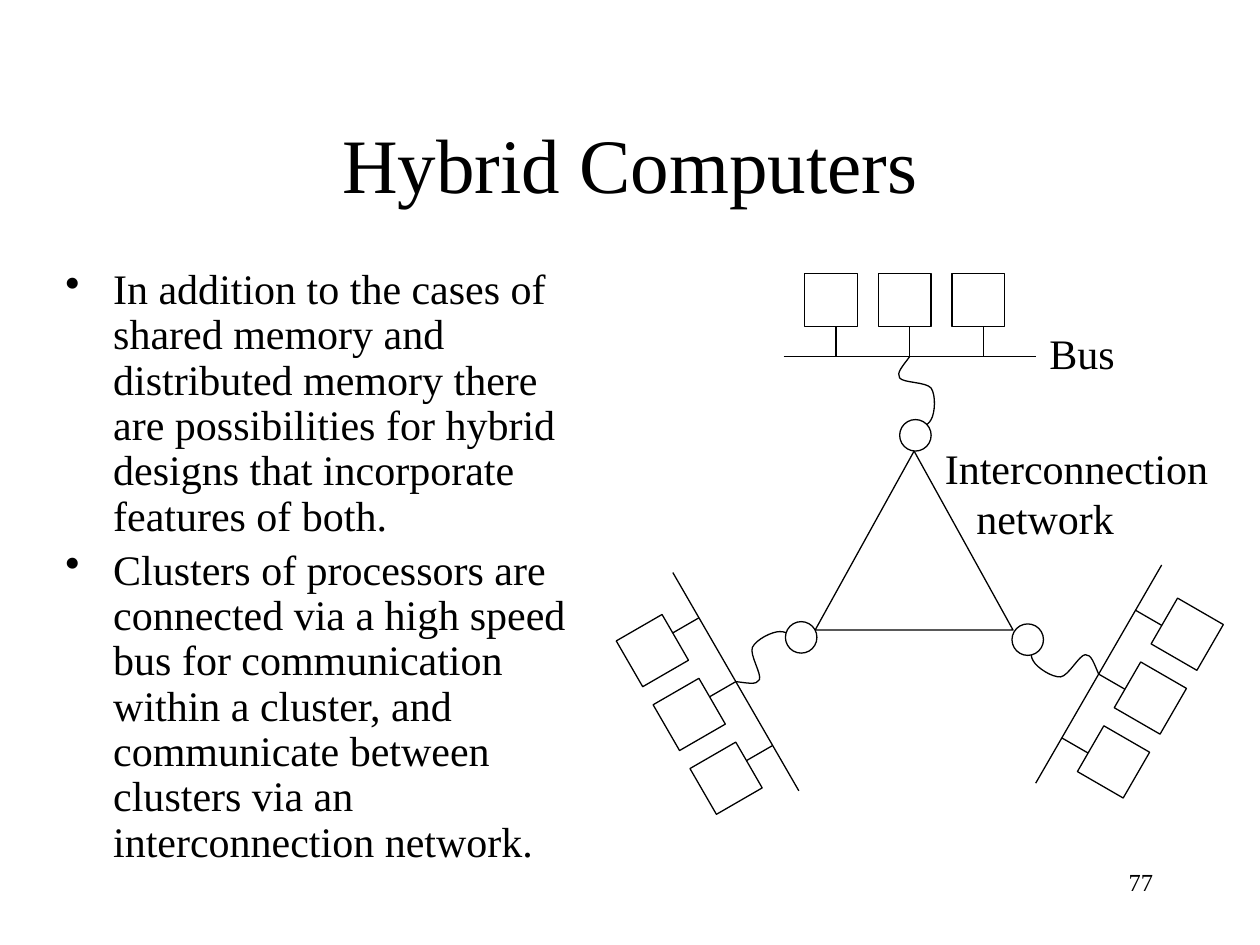
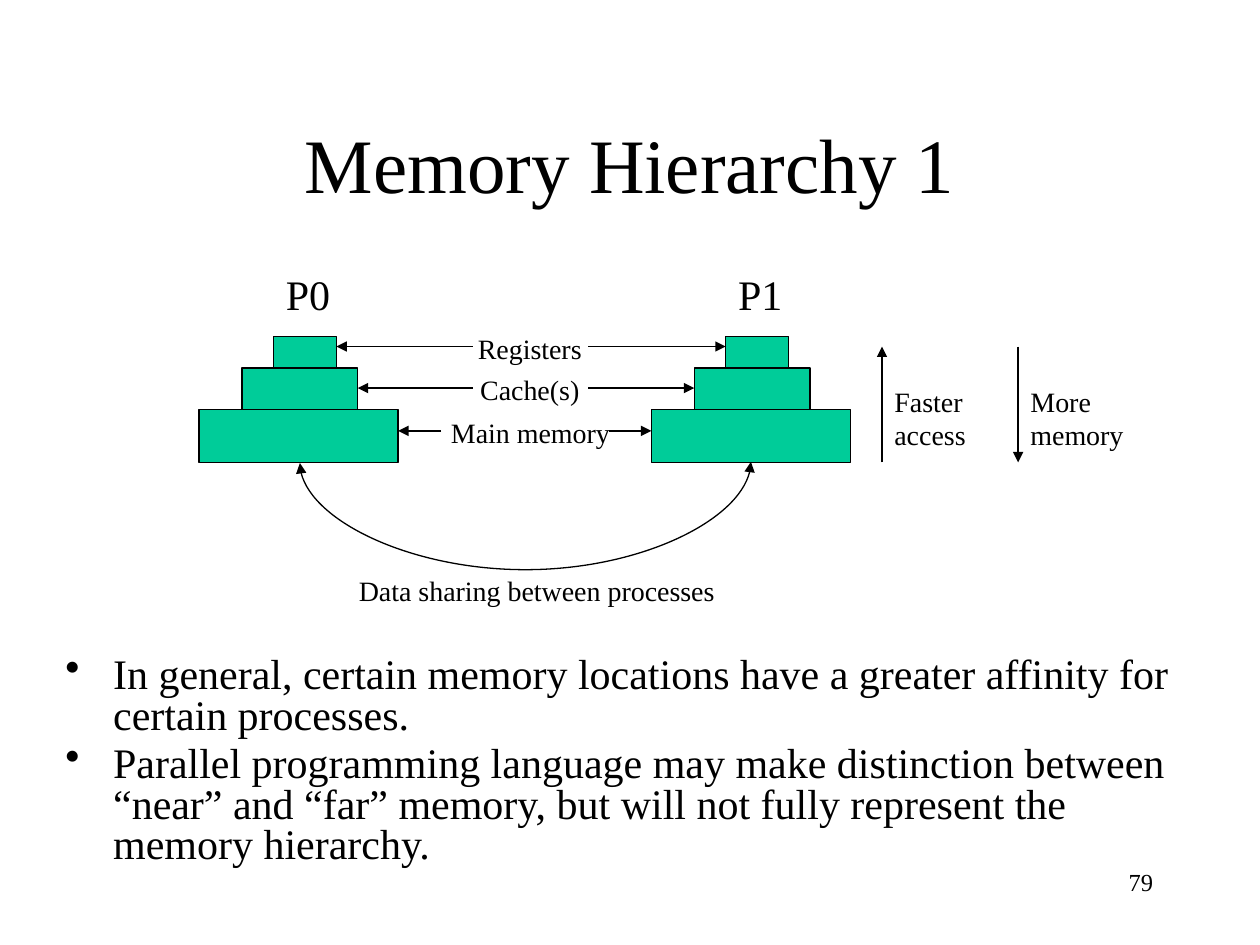
from dataclasses import dataclass
from math import cos, radians, sin

from lxml.etree import SubElement
from pptx import Presentation
from pptx.dml.color import RGBColor
from pptx.enum.shapes import MSO_CONNECTOR, MSO_SHAPE
from pptx.enum.text import MSO_ANCHOR, MSO_AUTO_SIZE, PP_ALIGN
from pptx.oxml.ns import qn
from pptx.util import Inches, Pt


@dataclass(frozen=True)
class Theme:
    """Colours, type sizes and line width shared by the slides."""
    font: str = "Times New Roman"
    ink: RGBColor = RGBColor(0, 0, 0)
    paper: RGBColor = RGBColor(255, 255, 255)
    memory: RGBColor = RGBColor(0x00, 0xCC, 0x99)
    title: int = 44
    body: int = 24
    label: int = 16
    page_number: int = 14
    line_width: float = 0.75


@dataclass(frozen=True)
class Tier:
    """One level of the memory towers with its label and arrows."""
    name: str
    left: float
    width: float
    top: float
    height: float
    arrow_top: float
    label_left: float
    label_width: float
    gap: tuple


THEME = Theme()
TIERS = (
    Tier("Registers", 0.59, 0.5, 0.59, 0.25, 0.67, 2, 1.25, (2.17, 3.09)),
    Tier("Cache(s)", 0.34, 0.92, 0.84, 0.33, 1, 2, 1.25, (2.17, 3.09)),
    Tier("Main memory", 0, 1.58, 1.17, 0.42, 1.34, 1.84, 1.58, (1.92, 3.25)),
)
CLUSTERS = ((2.32, 0.66, 0), (3.82, 3.18, 120), (0.94, 3.24, 240))
CABLE_CURVE = (
    (-0.05, 0.07), (-0.11, 0.13), (-0.08, 0.17),
    (-0.05, 0.21), (0.13, 0.2), (0.17, 0.25),
    (0.21, 0.31), (0.2, 0.45), (0.17, 0.5),
    (0.14, 0.56), (0.07, 0.57), (0, 0.59),
)


def style_paragraph(paragraph, size, align=PP_ALIGN.LEFT):
    """Set the alignment and the theme font of a paragraph."""
    paragraph.alignment = align
    paragraph.font.name = THEME.font
    paragraph.font.size = Pt(size)
    paragraph.font.color.rgb = THEME.ink


def add_text(slide, lines, box, size, align=PP_ALIGN.LEFT, wrap=True):
    """Add a text box with one paragraph for each line."""
    shape = slide.shapes.add_textbox(*map(Inches, box))
    frame = shape.text_frame
    frame.word_wrap = wrap
    if not wrap:
        frame.auto_size = MSO_AUTO_SIZE.SHAPE_TO_FIT_TEXT
    frame.text = "\n".join(lines)
    for paragraph in frame.paragraphs:
        style_paragraph(paragraph, size, align)
    return frame


def add_bullets(slide, items, box, line_spacing):
    """Add a bulleted body text."""
    frame = add_text(slide, items, box, THEME.body)
    for index, paragraph in enumerate(frame.paragraphs):
        properties = paragraph._p.get_or_add_pPr()
        properties.set("marL", str(Inches(0.38)))
        properties.set("indent", str(Inches(-0.38)))
        bullet = properties.makeelement(qn("a:buChar"), {"char": "•"})
        properties.insert_element_before(bullet, "a:tabLst", "a:defRPr", "a:extLst")
        paragraph.line_spacing = line_spacing
        if index:
            paragraph.space_before = Pt(0.2 * THEME.body)


def outline(shape):
    """Give a shape or connector the theme line."""
    shape.line.color.rgb = THEME.ink
    shape.line.width = Pt(THEME.line_width)


def add_shape(slide, kind, box, fill):
    """Add a filled, outlined preset shape."""
    shape = slide.shapes.add_shape(kind, *map(Inches, box))
    shape.shadow.inherit = False
    shape.fill.solid()
    shape.fill.fore_color.rgb = fill
    outline(shape)
    return shape


def add_line(slide, start, end, arrows=(), kind=MSO_CONNECTOR.STRAIGHT):
    """Add a connector with triangles at the named ends."""
    connector = slide.shapes.add_connector(kind, *map(Inches, (*start, *end)))
    outline(connector)
    properties = connector._element.spPr
    for arrow in arrows:
        SubElement(properties.find(qn("a:ln")), qn(f"a:{arrow}"), type="triangle")
    SubElement(properties, qn("a:effectLst"))
    return connector


def add_curve(slide, start, points):
    """Add an open outline of cubic curves, three points to each."""
    builder = slide.shapes.build_freeform(*map(Inches, start))
    builder.add_line_segments(
        [(Inches(x), Inches(y)) for x, y in points], close=False)
    shape = builder.convert_to_shape()
    shape.shadow.inherit = False
    shape.fill.background()
    outline(shape)
    path = shape._element.find(".//" + qn("a:path"))
    segments = path.findall(qn("a:lnTo"))
    for first in range(0, len(segments), 3):
        curve = SubElement(path, qn("a:cubicBezTo"))
        for segment in segments[first:first + 3]:
            curve.append(segment[0])
            path.remove(segment)
    return shape


def rotate(x, y, angle):
    """Turn a point clockwise about the zero point."""
    turn = radians(angle)
    return x * cos(turn) - y * sin(turn), x * sin(turn) + y * cos(turn)


def rotate_shape(shape, center, angle):
    """Turn a shape clockwise about a center."""
    center_x, center_y = map(Inches, center)
    half_width, half_height = shape.width // 2, shape.height // 2
    x, y = rotate(shape.left + half_width - center_x,
                  shape.top + half_height - center_y, angle)
    shape.left = int(center_x + x) - half_width
    shape.top = int(center_y + y) - half_height
    shape.rotation = angle


def draw_cluster(slide, x, y, angle):
    """Draw processors on a bus whose middle is given, with its network node."""
    def bus_line(start, end):
        """Draw a line placed relative to the bus."""
        (x1, y1), (x2, y2) = rotate(*start, angle), rotate(*end, angle)
        add_line(slide, (x + x1, y + y1), (x + x2, y + y2))

    parts = []
    for index in (-1, 0, 1):
        stub = index * 0.585
        bus_line((stub, -0.33), (stub, 0))
        parts.append(add_shape(slide, MSO_SHAPE.RECTANGLE,
                               (x + stub - 0.25, y - 0.66, 0.42, 0.42), THEME.paper))
    bus_line((-1, 0), (1, 0))
    parts.append(add_curve(slide, (x, y),
                           [(x + dx, y + dy) for dx, dy in CABLE_CURVE]))
    parts.append(add_shape(slide, MSO_SHAPE.OVAL,
                           (x - 0.08, y + 0.5, 0.25, 0.25), THEME.paper))
    for part in parts:
        rotate_shape(part, (x, y), angle)


def draw_network(slide, left, top):
    """Draw three clusters joined by a triangular network."""
    add_shape(slide, MSO_SHAPE.ISOSCELES_TRIANGLE,
              (left + 1.57, top + 1.41, 1.57, 1.42), THEME.paper)
    for x, y, angle in CLUSTERS:
        draw_cluster(slide, left + x, top + y, angle)
    add_text(slide, ["Bus"], (left + 3.33, top + 0.38, 0.72, 0.5),
             THEME.body, wrap=False)
    frame = add_text(slide, ["Interconnection", "network"],
                     (left + 2.5, top + 1.29, 2.29, 0.9), THEME.body, wrap=False)
    frame.paragraphs[1]._p.get_or_add_pPr().set("marL", str(Inches(0.25)))


def draw_tower(slide, name, left, top):
    """Draw the stacked memory levels of one processor."""
    add_text(slide, [name], (left + 0.59, top, 0.58, 0.5), THEME.body)
    for tier in TIERS:
        add_shape(slide, MSO_SHAPE.RECTANGLE,
                  (left + tier.left, top + tier.top, tier.width, tier.height),
                  THEME.memory)


def draw_sharing_curve(slide, center_x, y, span, depth):
    """Draw a double arrow hanging below two points on one level."""
    thickness = 0.01
    x, half = center_x - thickness / 2, span / 2
    connector = add_line(slide, (x, y - half), (x + thickness, y + half),
                         ("headEnd", "tailEnd"), MSO_CONNECTOR.CURVE)
    properties = connector._element.spPr
    properties.find(qn("a:xfrm")).set("rot", str(90 * 60000))
    adjustments = properties.find(qn("a:prstGeom")).get_or_add_avLst()
    SubElement(adjustments, qn("a:gd"), name="adj1",
               fmla=f"val {round(depth / thickness * 100000)}")


def draw_memory(slide, left, top):
    """Draw two memory towers, their level names and the trends."""
    tower_gap = 3.59
    draw_tower(slide, "P0", left, top)
    draw_tower(slide, "P1", left + tower_gap, top)
    for tier in TIERS:
        add_text(slide, [tier.name],
                 (left + tier.label_left, top + tier.arrow_top - 0.17,
                  tier.label_width, 0.37), THEME.label, PP_ALIGN.CENTER)
        edges = (tier.left + tier.width, tower_gap + tier.left)
        for start, end in zip(tier.gap, edges):
            y = top + tier.arrow_top
            add_line(slide, (left + start, y), (left + end, y), ("tailEnd",))
    trends = (("Faster access", 5.42, 1.59, 0.67), ("More memory", 6.5, 0.67, 1.59))
    for name, x, start, end in trends:
        add_line(slide, (left + x, top + start), (left + x, top + end), ("tailEnd",))
        add_text(slide, [name], (left + x, top + 0.92, 1.08, 0.64), THEME.label)
    draw_sharing_curve(slide, left + 2.59, top + 1.59, 3.58, 0.87)
    add_text(slide, ["Data sharing between processes"],
             (left + 1.17, top + 2.42, 3.17, 0.37), THEME.label)


def add_slide(presentation, title, number):
    """Add a slide with its title and page number."""
    slide = presentation.slides.add_slide(presentation.slide_layouts[5])
    shape = slide.shapes.title
    shape.left, shape.top, shape.width, shape.height = map(
        Inches, (0.75, 0.67, 8.5, 1.25))
    shape.text_frame.text = title
    shape.text_frame.vertical_anchor = MSO_ANCHOR.MIDDLE
    style_paragraph(shape.text_frame.paragraphs[0], THEME.title, PP_ALIGN.CENTER)
    add_text(slide, [str(number)], (7.17, 6.83, 2.08, 0.5),
             THEME.page_number, PP_ALIGN.RIGHT)
    return slide


def build_hybrid_slide(presentation):
    """Build the slide on hybrid computers."""
    slide = add_slide(presentation, "Hybrid Computers", 77)
    add_bullets(slide, (
        "In addition to the cases of shared memory and distributed memory there "
        "are possibilities for hybrid designs that incorporate features of both.",
        "Clusters of processors are connected via a high speed bus for "
        "communication within a cluster, and communicate between clusters via "
        "an interconnection network.",
    ), (0.42, 2.08, 4.25, 5.08), 0.9)
    draw_network(slide, 4.9, 2.17)


def build_memory_slide(presentation):
    """Build the slide on the memory hierarchy."""
    slide = add_slide(presentation, "Memory Hierarchy 1", 79)
    add_bullets(slide, (
        "In general, certain memory locations have a greater affinity for "
        "certain processes.",
        "Parallel programming language may make distinction between “near” and "
        "“far” memory, but will not fully represent the memory hierarchy.",
    ), (0.42, 5.17, 9, 1.92), 0.8)
    draw_memory(slide, 1.58, 2.08)


def main():
    """Build and save the presentation."""
    presentation = Presentation()
    presentation.slide_width = Inches(10)
    presentation.slide_height = Inches(7.5)
    build_hybrid_slide(presentation)
    build_memory_slide(presentation)
    presentation.save("out.pptx")


if __name__ == "__main__":
    main()
